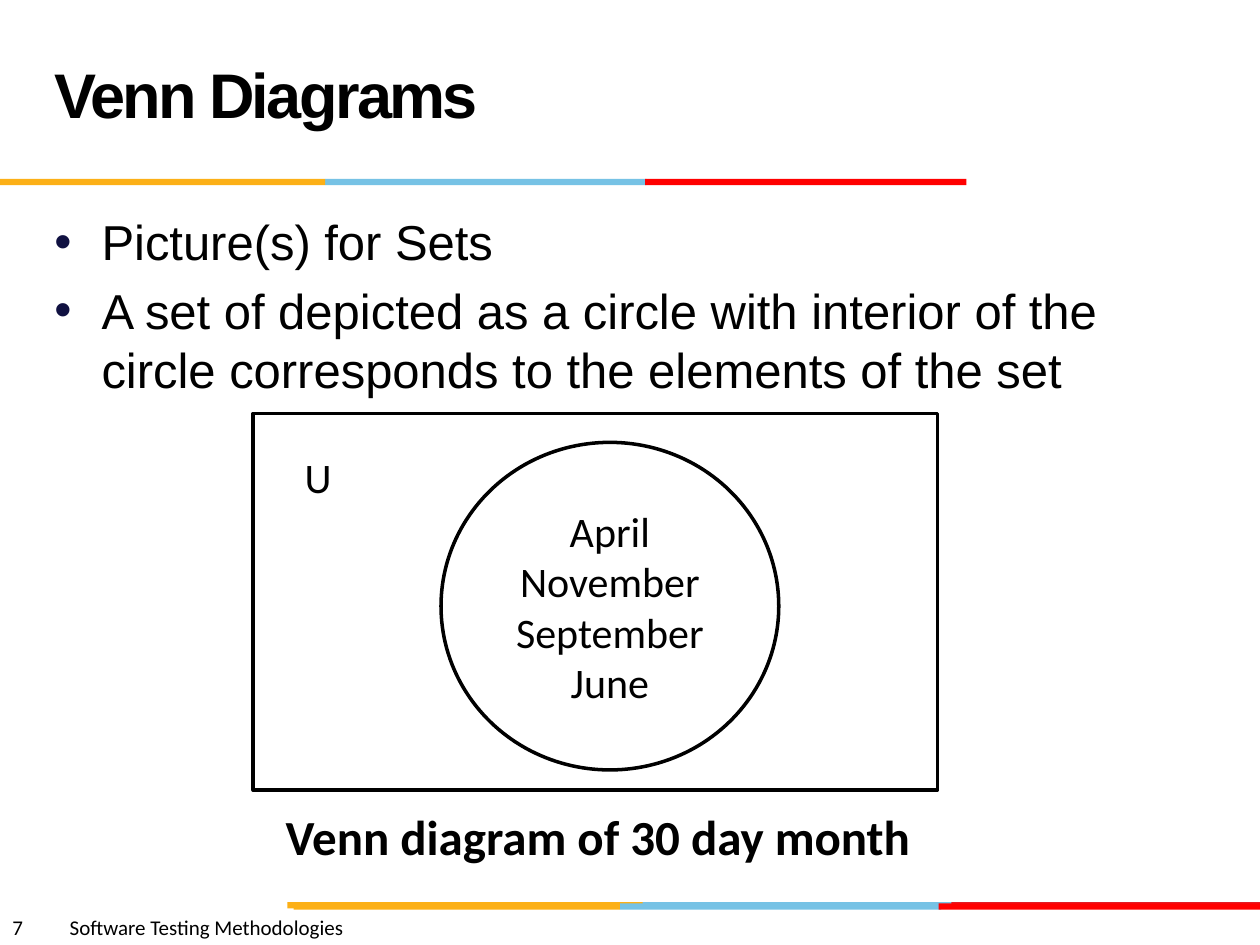
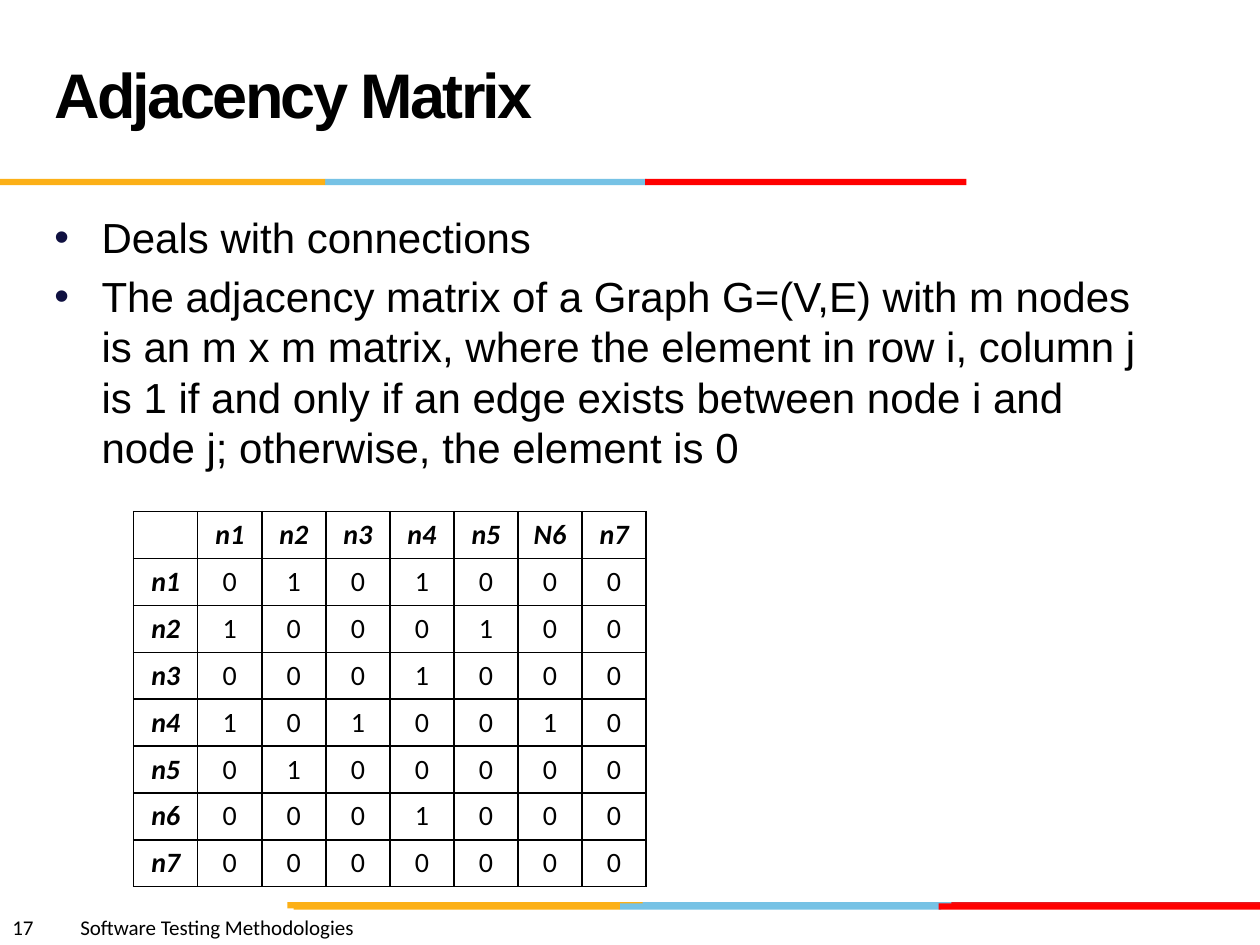
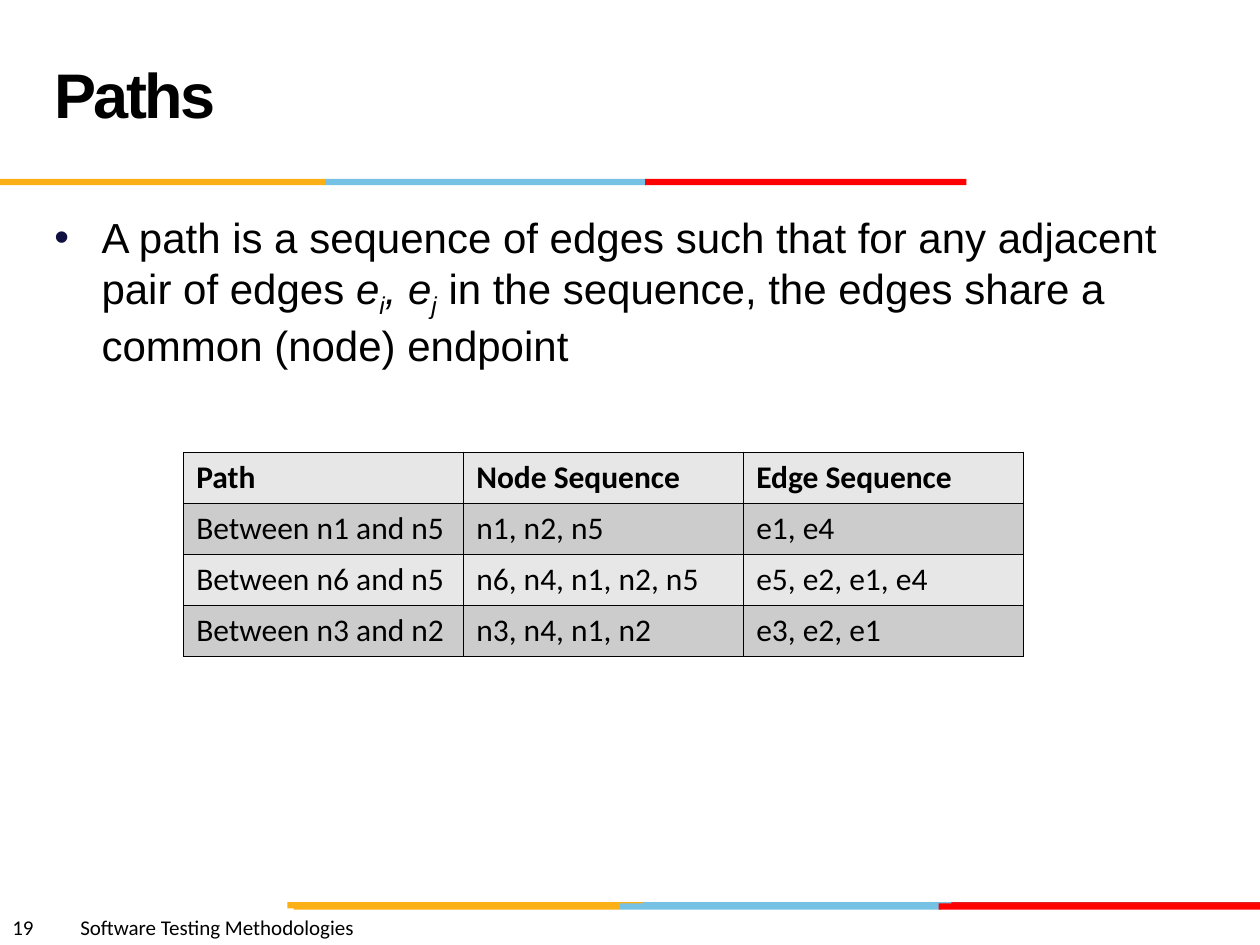
from lxml.etree import SubElement
from pptx import Presentation
from pptx.dml.color import RGBColor
from pptx.enum.shapes import MSO_SHAPE
from pptx.enum.text import MSO_ANCHOR, MSO_AUTO_SIZE, PP_ALIGN
from pptx.oxml.ns import qn
from pptx.util import Pt

BLACK, WHITE, NAVY = "000000", "FFFFFF", "101141"
GOLD, SKY, RED, CRIMSON = "FCB017", "76C2E5", "FF0000", "E31C24"
LIGHT, DARK = "E7E7E7", "CCCCCC"
COURSE = "Software Testing Methodologies"

# Each band: top, then (left, width, colour) of its bars
BANDS = [
    (515.5, [(364.3, 183.6, SKY), (543.6, 176.4, CRIMSON), (164.2, 203, GOLD)]),
    (516.2, [(354.2, 183.6, SKY), (167.8, 186.4, GOLD), (536.4, 183.6, RED)]),
    (102.2, [(185.8, 183.6, SKY), (0, 185.8, GOLD), (368.6, 183.6, RED)]),
]
TITLE = {"name": "Arial", "size": Pt(36), "bold": True}
SMALL = {"name": "Calibri", "size": Pt(12)}
LABEL = {"name": "Calibri", "size": Pt(24)}
CAPTION = {"name": "Calibri", "size": Pt(28), "bold": True}


def color(code):
    return RGBColor.from_string(code)


def points(*values):
    return [Pt(v) for v in values]


def style(font, form):
    for key, value in form.items():
        setattr(font, key, value)
    font.color.rgb = color(BLACK)


def write(par, text, form, **extra):
    """Add a run; extra holds raw run attributes such as spc or baseline."""
    run = par.add_run()
    run.text = text
    style(run.font, form)
    for key, value in extra.items():
        run._r.get_or_add_rPr().set(key, value)


def place(shape, *box):
    for key, value in zip(("left", "top", "width", "height"), points(*box)):
        setattr(shape, key, value)


def draw(slide, kind, box, fill, line=None):
    shape = slide.shapes.add_shape(kind, *points(*box))
    shape.shadow.inherit = False
    shape.fill.solid()
    shape.fill.fore_color.rgb = color(fill)
    if line:
        shape.line.color.rgb = color(line)
        shape.line.width = Pt(2)
    else:
        shape.line.fill.background()
    return shape


def label(slide, box, text, form, wrap=False):
    frame = slide.shapes.add_textbox(*points(*box)).text_frame
    frame.word_wrap = wrap
    par = frame.paragraphs[0]
    write(par, text, form)
    return par


def footer(slide, box, number):
    par = label(slide, box, f"{number}\t{COURSE}", SMALL, wrap=True)
    tabs = SubElement(par._p.get_or_add_pPr(), qn("a:tabLst"))
    stop = Pt(26.8 + 6 * len(str(number)))
    SubElement(tabs, qn("a:tab"), pos=str(stop), algn="l")


def head(shape, text):
    place(shape, 23.8, 12.2, 498.2, 90)
    frame = shape.text_frame
    frame.auto_size = MSO_AUTO_SIZE.NONE
    frame.vertical_anchor = MSO_ANCHOR.MIDDLE
    par = frame.paragraphs[0]
    par.alignment = PP_ALIGN.LEFT
    par.line_spacing = Pt(36)
    write(par, text, TITLE, spc="-150")


def bullets(shape, items, size):
    """Fill the body; an item is a list of (text, italic, baseline) parts."""
    place(shape, 23.8, 117.4, 648, 356.4)
    frame = shape.text_frame
    frame.auto_size = MSO_AUTO_SIZE.NONE
    for i, parts in enumerate(items):
        par = frame.add_paragraph() if i else frame.paragraphs[0]
        props = par._p.get_or_add_pPr()
        tint = SubElement(props, qn("a:buClr"))
        SubElement(tint, qn("a:srgbClr"), val=NAVY)
        SubElement(props, qn("a:buChar"), char="•")
        if not i:
            par.space_before = Pt(0)
        for text, slant, base in parts:
            form = {"name": "Arial", "size": Pt(size), "italic": slant}
            write(par, text, form, baseline=str(base))


def page(deck, number, title, items, size):
    slide = deck.slides.add_slide(deck.slide_layouts[1])
    for top, bars in BANDS:
        for left, width, fill in bars:
            draw(slide, MSO_SHAPE.RECTANGLE, (left, top, width, 3.6), fill)
    footer(slide, (0, 519.1, 360, 21.6), number)
    bullets(slide.placeholders[1], items, size)
    head(slide.shapes.title, title)
    return slide


def plain(text):
    return [(text, False, 0)]


def venn(slide, left, top, wide, high, names, caption):
    draw(slide, MSO_SHAPE.RECTANGLE, (left, top, wide, high), WHITE, BLACK)
    ring = draw(slide, MSO_SHAPE.OVAL,
                (left + 107.3, top + 16.6, 193, 187.2), WHITE, BLACK)
    frame = ring.text_frame
    frame.vertical_anchor = MSO_ANCHOR.MIDDLE
    for i, name in enumerate(names):
        par = frame.add_paragraph() if i else frame.paragraphs[0]
        par.alignment = PP_ALIGN.CENTER
        write(par, name, LABEL)
    label(slide, (left + 22.3, top + 18, 30.2, 36), "U", LABEL)
    label(slide, (left + 11.5, top + high + 5.8, 375.1, 41), caption, CAPTION)


def border(cell):
    props = cell._tc.get_or_add_tcPr()
    for side in ("lnL", "lnR", "lnT", "lnB"):
        line = SubElement(props, qn(f"a:{side}"), w=str(Pt(1)))
        fill = SubElement(line, qn("a:solidFill"))
        SubElement(fill, qn("a:srgbClr"), val=BLACK)


def grid(slide, box, rows, align, size, look, fills=None):
    """Draw a ruled table; look(row, col) gives the font values of a cell."""
    frame = slide.shapes.add_table(len(rows), len(rows[0]), *points(*box))
    table = frame.table
    table.first_row = table.horz_banding = False
    for r, row in enumerate(rows):
        for c, text in enumerate(row):
            cell = table.cell(r, c)
            border(cell)
            if fills:
                cell.fill.solid()
                cell.fill.fore_color.rgb = color(fills[r % len(fills)])
            else:
                cell.fill.background()
            par = cell.text_frame.paragraphs[0]
            par.alignment = align
            if text:
                form = {"name": "Calibri", "size": Pt(size), **look(r, c)}
                write(par, text, form)
            else:
                SubElement(par._p, qn("a:endParaRPr"), sz=str(size * 100))


def sets(deck):
    items = [plain("Picture(s) for Sets"),
             plain("A set of depicted as a circle with interior of the circle "
                   "corresponds to the elements of the set")]
    slide = page(deck, 7, "Venn Diagrams", items, 28)
    venn(slide, 144.7, 236.2, 391, 215.3,
         ["April", "November", "September", "June"],
         "Venn diagram of 30 day month")


def matrix(deck):
    items = [plain("Deals with connections"),
             plain("The adjacency matrix of a Graph G=(V,E) with m nodes is an "
                   "m x m matrix, where the element in row i, column j is 1 if "
                   "and only if an edge exists between node i and node j; "
                   "otherwise, the element is 0")]
    slide = page(deck, 17, "Adjacency Matrix", items, 24)
    bits = ["0101000", "1000100", "0001000", "1010010",
            "0100000", "0001000", "0000000"]
    rows = [["", "n1", "n2", "n3", "n4", "n5", "N6", "n7"]]
    rows += [[f"n{i}", *line] for i, line in enumerate(bits, 1)]

    def look(r, c):
        edge = r == 0 or c == 0
        return {"bold": edge, "italic": edge}

    grid(slide, (76.4, 292.4, 292.8, 214.4), rows, PP_ALIGN.CENTER, 16, look)


def paths(deck):
    items = [[
        ("A path is a sequence of edges such that for any adjacent pair of "
         "edges ", False, 0),
        ("e", True, 0), ("i", True, -25000),
        (", e", True, 0), ("j", True, -25000),
        (" in the sequence, the edges share a common (node) endpoint",
         False, 0),
    ]]
    slide = page(deck, 19, "Paths", items, 24)
    rows = [
        ["Path", "Node Sequence", "Edge Sequence"],
        ["Between n1 and n5", "n1, n2, n5", "e1, e4"],
        ["Between n6 and n5", "n6, n4, n1, n2, n5", "e5, e2, e1, e4"],
        ["Between n3 and n2", "n3, n4, n1, n2", "e3, e2, e1"],
    ]
    grid(slide, (105, 258.5, 480, 116.8), rows, PP_ALIGN.LEFT, 18,
         lambda r, c: {"bold": r == 0}, [LIGHT, DARK])


def main():
    deck = Presentation()
    deck.slide_width, deck.slide_height = points(720, 540)
    for build in (sets, matrix, paths):
        build(deck)
    deck.save("out.pptx")


if __name__ == "__main__":
    main()
